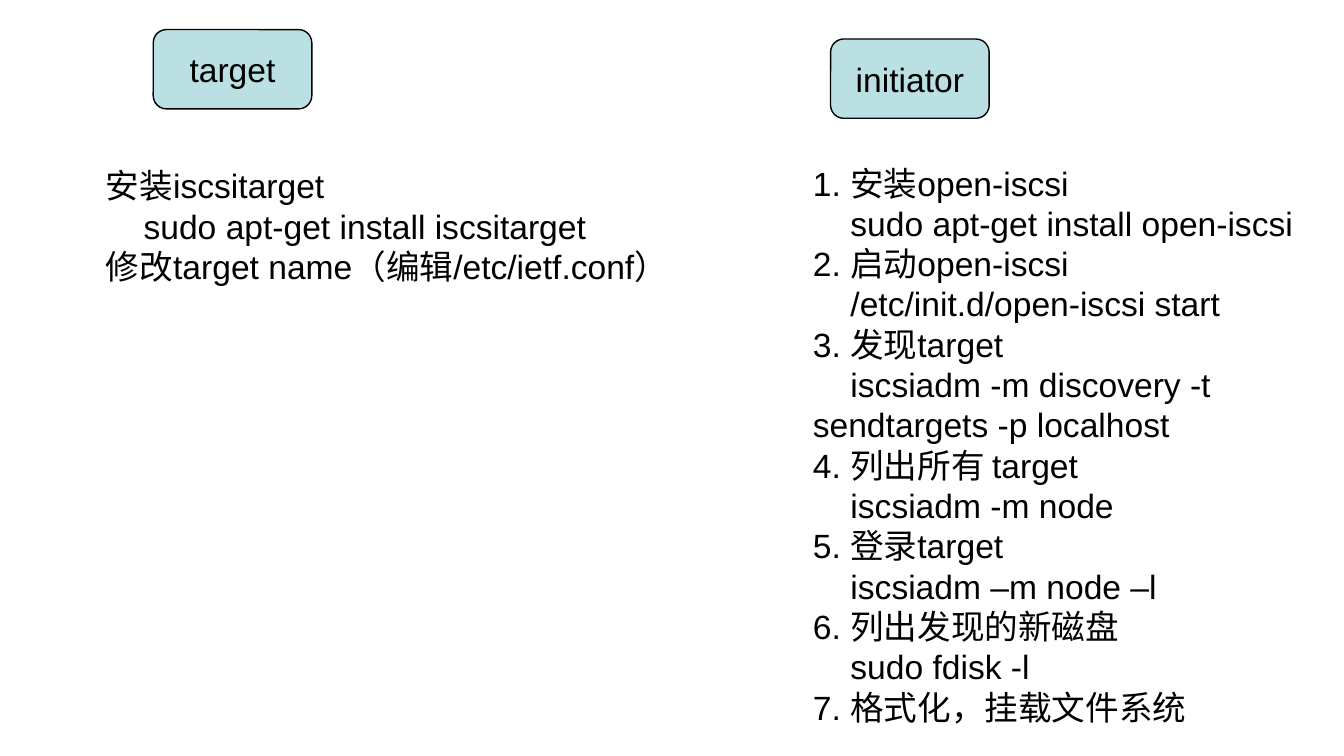
from dataclasses import dataclass

from pptx import Presentation
from pptx import util as u
from pptx.dml.color import RGBColor
from pptx.enum import shapes, text


@dataclass(frozen=True)
class Theme:
    font: str = "Arial"
    size: u.Pt = u.Pt(18)
    ink: RGBColor = RGBColor(0, 0, 0)
    role_fill: RGBColor = RGBColor(0xBB, 0xE0, 0xE3)
    outline: u.Pt = u.Pt(0.75)
    command_indent: u.Inches = u.Inches(0.28)


THEME = Theme()

# Each step is a heading and the command that carries it out, if any
TARGET_STEPS = [
    ("安装iscsitarget", "sudo apt-get install iscsitarget"),
    ("修改target name（编辑/etc/ietf.conf）", None),
]
INITIATOR_STEPS = [
    ("1. 安装open-iscsi", "sudo apt-get install open-iscsi"),
    ("2. 启动open-iscsi", "/etc/init.d/open-iscsi start"),
    ("3. 发现target", "iscsiadm -m discovery -t sendtargets -p localhost"),
    ("4. 列出所有 target", "iscsiadm -m node"),
    ("5. 登录target", "iscsiadm –m node –l"),
    ("6. 列出发现的新磁盘", "sudo fdisk -l"),
    ("7. 格式化，挂载文件系统", None),
]


def style(paragraph):
    paragraph.font.name = THEME.font
    paragraph.font.size = THEME.size
    paragraph.font.color.rgb = THEME.ink


def add_role(slide, name, box):
    """Rounded label naming one side of the iSCSI connection."""
    role = slide.shapes.add_shape(
        shapes.MSO_SHAPE.FLOWCHART_ALTERNATE_PROCESS, *map(u.Inches, box))
    role.shadow.inherit = False
    role.fill.solid()
    role.fill.fore_color.rgb = THEME.role_fill
    role.line.color.rgb = THEME.ink
    role.line.width = THEME.outline

    frame = role.text_frame
    frame.word_wrap = False
    frame.vertical_anchor = text.MSO_ANCHOR.MIDDLE
    label = frame.paragraphs[0]
    label.text = name
    label.alignment = text.PP_ALIGN.CENTER
    style(label)


def add_steps(slide, steps, box, wrap):
    """Headings with their commands set in on the first line."""
    frame = slide.shapes.add_textbox(*map(u.Inches, box)).text_frame
    frame.word_wrap = wrap
    frame.auto_size = text.MSO_AUTO_SIZE.SHAPE_TO_FIT_TEXT

    lines = [(line, is_command) for step in steps
             for is_command, line in enumerate(step) if line]
    for number, (line, is_command) in enumerate(lines):
        paragraph = frame.add_paragraph() if number else frame.paragraphs[0]
        paragraph.text = line
        style(paragraph)
        if is_command:
            properties = paragraph._p.get_or_add_pPr()
            properties.set("marL", "0")
            properties.set("indent", str(THEME.command_indent))


def main():
    deck = Presentation()
    # Widescreen, 16:9
    deck.slide_width = u.Inches(10)
    deck.slide_height = deck.slide_width * 9 // 16
    slide = deck.slides.add_slide(deck.slide_layouts[6])

    # Target side
    add_role(slide, "target", (1.14, 0.22, 1.18, 0.59))
    add_steps(slide, TARGET_STEPS, (0.69, 1.18, 4.68, 1), wrap=False)

    # Initiator side
    add_role(slide, "initiator", (6.18, 0.29, 1.18, 0.59))
    add_steps(slide, INITIATOR_STEPS, (5.95, 1.16, 3.86, 4.3), wrap=True)

    deck.save("out.pptx")


if __name__ == "__main__":
    main()
